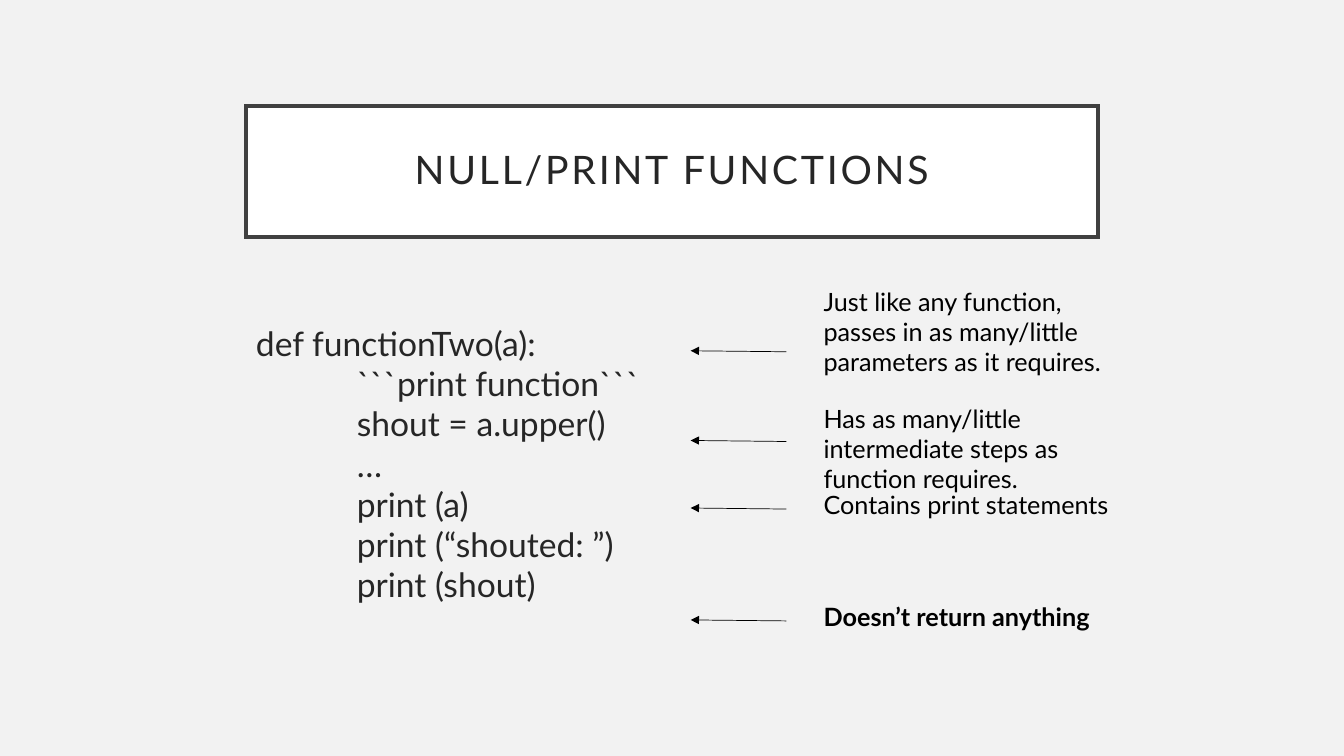
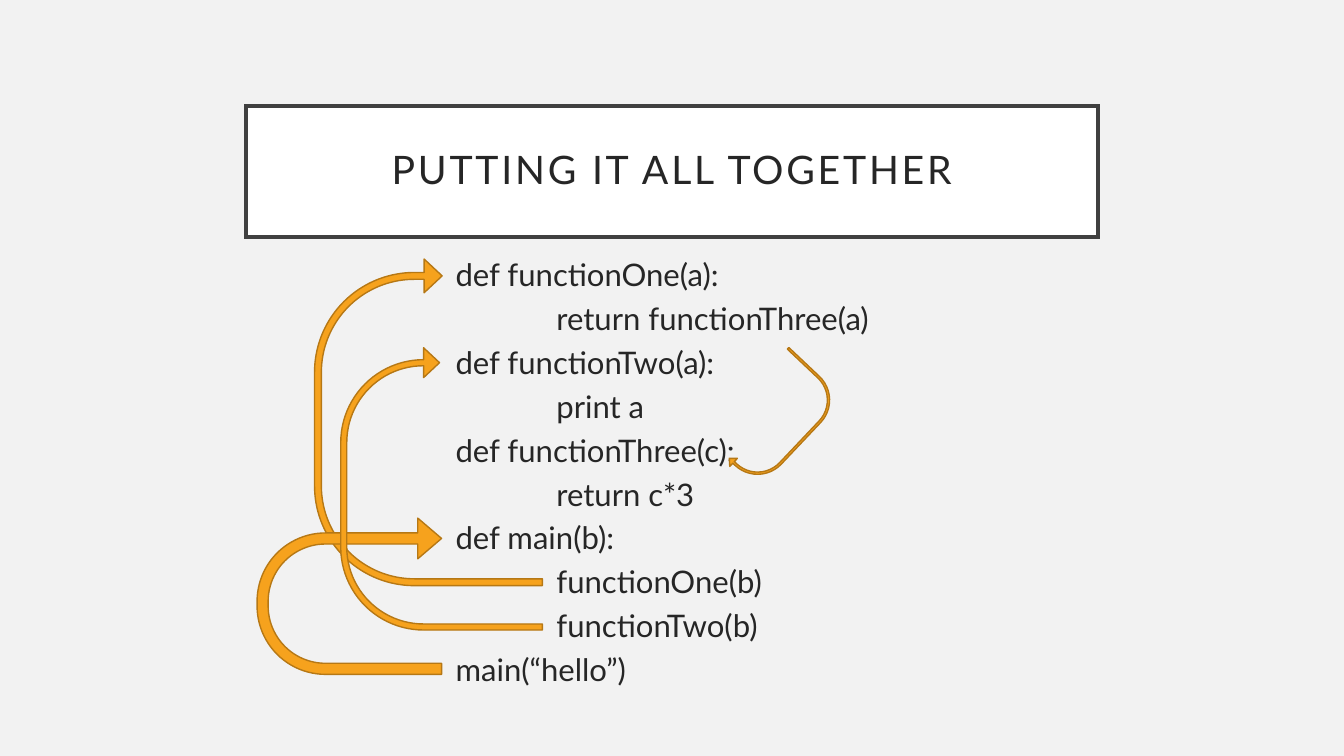
"""Build two slides on Python functions: print functions and the call order."""
from lxml import etree
from pptx import Presentation
from pptx.dml.color import RGBColor
from pptx.enum import shapes, text
from pptx.oxml import ns
from pptx.util import Inches, Pt

FONT = "Lato"
PAPER = RGBColor(0xF2, 0xF2, 0xF2)
WHITE = RGBColor(0xFF, 0xFF, 0xFF)
FRAME = RGBColor(0x40, 0x40, 0x40)
INK = RGBColor(0x26, 0x26, 0x26)
BLACK = RGBColor(0, 0, 0)
GOLD = RGBColor(0xF6, 0xA2, 0x1D)
BRONZE = RGBColor(0xB6, 0x78, 0x15)

PRINT = [
    "def functionTwo(a):",
    "\t```print function```",
    "\tshout = a.upper()",
    "\t…",
    "\tprint (a)",
    "\tprint (“shouted: ”)",
    "\tprint (shout)",
]
# (text, top, width, height, arrow height, bold)
NOTES = [
    ("Just like any function, passes in as many/little parameters as it requires.",
     2.79, 3.22, 1.01, 3.48, False),
    ("Has as many/little intermediate steps as function requires.",
     3.95, 3.33, 0.71, 4.37, False),
    ("Contains print statements", 4.81, 3.49, 0.4, 5.04, False),
    ("Doesn’t return anything", 5.92, 3.49, 0.4, 6.15, True),
]
CALLS = [
    "def functionOne(a):",
    "\treturn functionThree(a)",
    "def functionTwo(a):",
    "\tprint a",
    "def functionThree(c):",
    "\treturn c*3",
    "def main(b):",
    "\tfunctionOne(b)",
    "\tfunctionTwo(b)",
    "main(“hello”)",
]
THIN = (0.03, 0.074, 0.079, 0.438)
THICK = (0.071, 0.13, 0.152, 0.438)
TURNS = [
    ((2.63, 3.06, 3.24, 2.26), 270, THIN + (0.56,)),
    ((2.69, 5, 1.55, 1.83), 270, THICK + (1,)),
    ((2.98, 3.85, 2.8, 2), 270, THIN + (0.49,)),
    ((7.03, 3.79, 1.26, 0.74), 133.4, THIN + (0.56,)),
]


def add_part(parent, tag, **attrs):
    """Append one drawing element with its attributes."""
    return etree.SubElement(parent, ns.qn(tag), attrs)


def add_run(para, words, size, color, bold=False):
    """Add one styled run to a paragraph."""
    run = para.add_run()
    run.text = words
    font = run.font
    font.name, font.size, font.bold = FONT, Pt(size), bold
    font.color.rgb = color
    return run


def add_slide(deck, words):
    """Add a slide with its framed title."""
    slide = deck.slides.add_slide(deck.slide_layouts[5])
    title = slide.shapes.title
    title.left, title.top, title.width, title.height = map(
        Inches, (2.44, 1.05, 8.45, 1.3))
    title.fill.solid()
    title.fill.fore_color.rgb = WHITE
    title.line.color.rgb = FRAME
    title.line.width = Pt(2.5)
    add_part(title.line._get_or_add_ln(), "a:miter", lim="800000")
    frame = title.text_frame
    frame.auto_size = text.MSO_AUTO_SIZE.NONE
    frame.word_wrap = True
    frame.vertical_anchor = text.MSO_ANCHOR.MIDDLE
    frame.margin_left = frame.margin_right = Inches(0.2)
    frame.margin_top = frame.margin_bottom = Inches(0.2)
    para = frame.paragraphs[0]
    para.alignment = text.PP_ALIGN.CENTER
    para.line_spacing = 0.9
    run = add_run(para, words, 28, INK)
    run._r.get_or_add_rPr().set("spc", "200")
    return slide


def add_text(slide, box, lines, size, color, bold=False, pitch=1, gap=0):
    """Add a wrapped text box with one paragraph per line and a one-inch tab."""
    frame = slide.shapes.add_textbox(*map(Inches, box)).text_frame
    frame.word_wrap = True
    for i, line in enumerate(lines):
        para = frame.add_paragraph() if i else frame.paragraphs[0]
        para.line_spacing = pitch
        para.space_before = Pt(gap)
        if line.startswith("\t"):
            tabs = add_part(para._p.get_or_add_pPr(), "a:tabLst")
            add_part(tabs, "a:tab", pos=str(Inches(1)), algn="l")
        add_run(para, line, size, color, bold)
    return frame


def add_arrow(slide, y):
    """Add a thin arrow from a note to the code."""
    line = slide.shapes.add_connector(
        shapes.MSO_CONNECTOR.STRAIGHT,
        *map(Inches, (7.8, y + 0.01, 6.85, y)))
    line.line.color.rgb = BLACK
    line.line.width = Pt(0.5)
    add_part(line.line._get_or_add_ln(), "a:tailEnd", type="triangle")
    add_part(line._element.spPr, "a:effectLst")


def add_turn(slide, box, angle, shape):
    """Add a gold U-turn arrow."""
    turn = slide.shapes.add_shape(
        shapes.MSO_SHAPE.U_TURN_ARROW, *map(Inches, box))
    turn.rotation = angle
    turn.shadow.inherit = False
    for i, value in enumerate(shape):
        turn.adjustments[i] = value
    turn.fill.solid()
    turn.fill.fore_color.rgb = GOLD
    turn.line.color.rgb = BRONZE
    turn.line.width = Pt(1)


deck = Presentation()
deck.slide_width, deck.slide_height = Inches(13.33), Inches(7.5)
back = deck.slide_master.background.fill
back.solid()
back.fore_color.rgb = PAPER

slide = add_slide(deck, "NULL/PRINT FUNCTIONS")
add_text(slide, (2.44, 3.15, 8.45, 3.46), PRINT, 24, INK)
for words, top, width, height, y, bold in NOTES:
    add_arrow(slide, y)
    note = add_text(slide, (8.07, top, width, height), [words], 18, BLACK, bold)
    note.auto_size = text.MSO_AUTO_SIZE.SHAPE_TO_FIT_TEXT

slide = add_slide(deck, "PUTTING IT ALL TOGETHER")
add_text(slide, (4.42, 2.56, 8.45, 4.38), CALLS, 22.2, INK, pitch=0.8, gap=10)
for box, angle, shape in TURNS:
    add_turn(slide, box, angle, shape)

deck.save("out.pptx")
